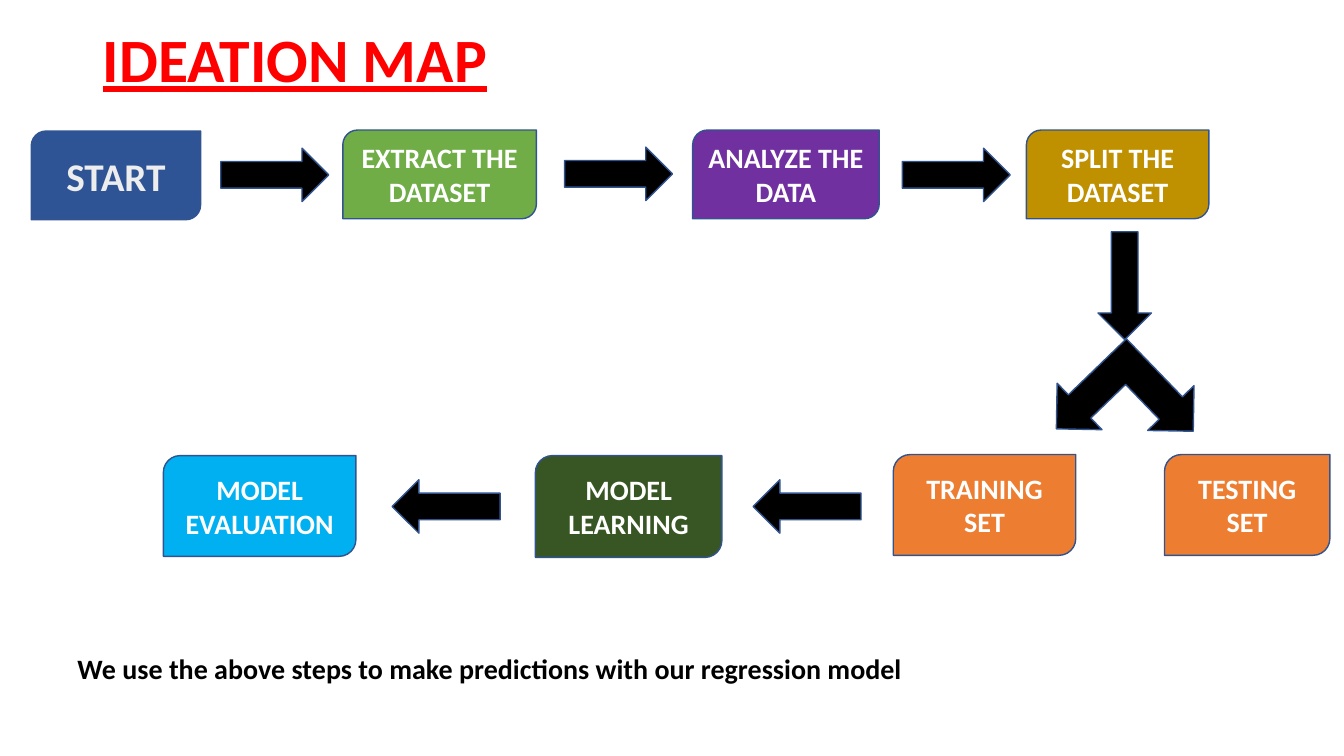
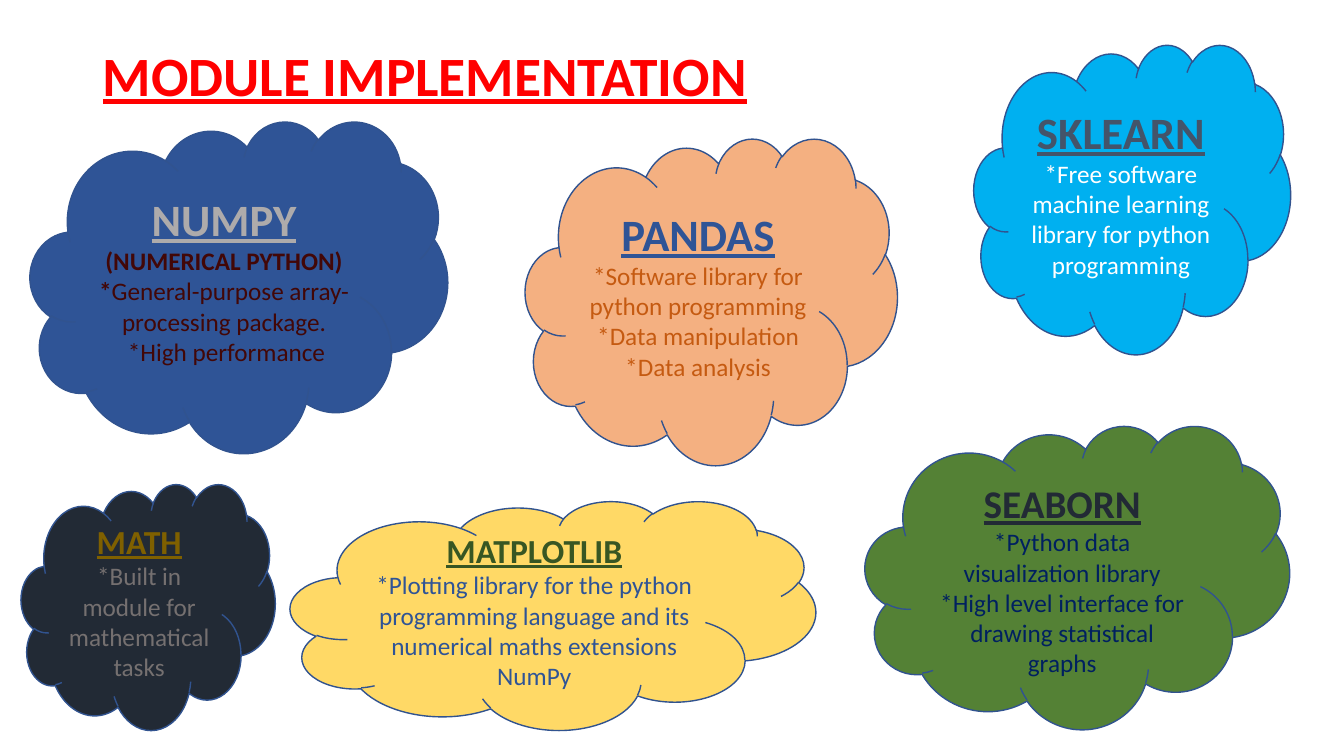
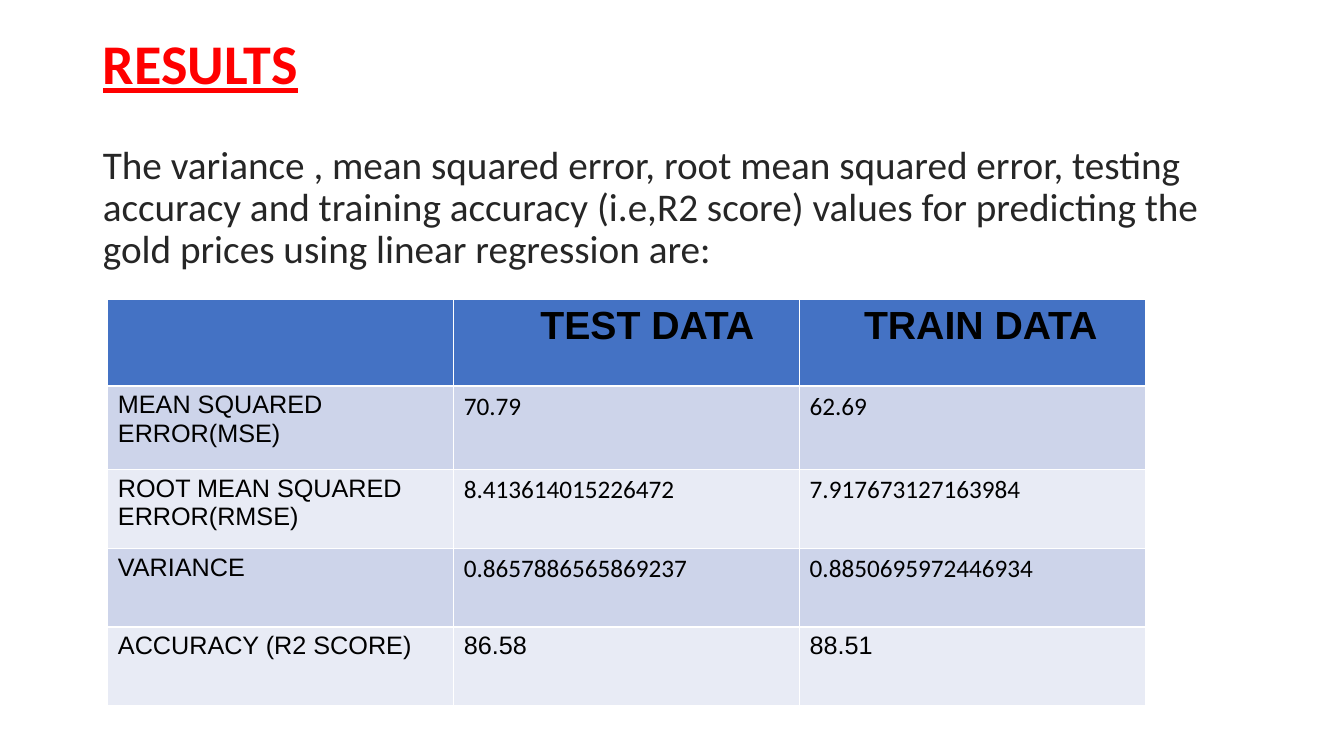
from pptx import Presentation
from pptx.dml.color import RGBColor
from pptx.enum.shapes import MSO_SHAPE
from pptx.enum.text import MSO_ANCHOR, MSO_AUTO_SIZE, PP_ALIGN
from pptx.util import Inches, Pt

STEP = MSO_SHAPE.ROUND_2_DIAG_RECTANGLE
CLOUD = MSO_SHAPE.CLOUD
RIGHT, LEFT, DOWN = MSO_SHAPE.RIGHT_ARROW, MSO_SHAPE.LEFT_ARROW, MSO_SHAPE.DOWN_ARROW
FORK = MSO_SHAPE.LEFT_UP_ARROW

BLACK, WHITE, RED = "000000", "FFFFFF", "FF0000"
NAVY, ORANGE, OUTLINE = "2F5496", "ED7D31", "31538F"
HEADER, BANDS = "4472C4", ["CDD4EA", "E8EBF5"]


def style(p, size, color, bold=False, underline=False, font="Calibri"):
    for r in p.runs:
        r.font.name = font
        r.font.size = Pt(size)
        r.font.bold = bold
        r.font.underline = underline
        r.font.color.rgb = RGBColor.from_string(color)


def add_shape(s, kind, box, fill):
    sp = s.shapes.add_shape(kind, *map(Inches, box))
    sp.shadow.inherit = False
    sp.fill.solid()
    sp.fill.fore_color.rgb = RGBColor.from_string(fill)
    sp.line.color.rgb = RGBColor.from_string(OUTLINE)
    sp.line.width = Pt(1)
    return sp


prs = Presentation()
prs.slide_width, prs.slide_height = Inches(13.33), Inches(7.5)
TITLE_AND_BODY, TITLE_ONLY = prs.slide_layouts[1], prs.slide_layouts[5]

# Slides and titles: layout, text, top, height, size
slides = []
for layout, text, top, height, size in [
    (TITLE_ONLY, "IDEATION MAP", 0.15, 0.94, 44),
    (TITLE_ONLY, "MODULE IMPLEMENTATION", 0.4, 0.75, 39.6),
    (TITLE_AND_BODY, "RESULTS", 0.21, 0.9, 40),
]:
    s = prs.slides.add_slide(layout)
    title = s.shapes.title
    title.left, title.top = Inches(0.92), Inches(top)
    title.width, title.height = Inches(11.5), Inches(height)
    tf = title.text_frame
    tf.text = text
    tf.auto_size = MSO_AUTO_SIZE.NONE
    tf.vertical_anchor = MSO_ANCHOR.MIDDLE
    p = tf.paragraphs[0]
    p.alignment = PP_ALIGN.LEFT
    p.line_spacing = 0.9
    style(p, size, RED, bold=True, underline=True)
    slides.append(s)
ideation, modules, results = slides

# Ideation map: two rows of steps joined by arrows
for text, left, top, width, height, fill, size, color in [
    ("START", 0.31, 1.3, 1.68, 0.88, NAVY, 28, "EDEDED"),
    ("EXTRACT THE DATASET", 3.4, 1.29, 1.92, 0.88, "70AD47", 20, WHITE),
    ("ANALYZE THE DATA", 6.87, 1.29, 1.85, 0.88, "7030A0", 20, WHITE),
    ("SPLIT THE DATASET", 10.18, 1.29, 1.81, 0.88, "BF9000", 20, WHITE),
    ("TESTING SET", 11.55, 4.51, 1.64, 1, ORANGE, 20, WHITE),
    ("TRAINING SET", 8.86, 4.51, 1.81, 1, ORANGE, 20, WHITE),
    ("MODEL LEARNING", 5.31, 4.52, 1.85, 1.01, "385623", 20, WHITE),
    ("MODEL EVALUATION", 1.62, 4.52, 1.91, 1, "00B0F0", 20, WHITE),
]:
    sp = add_shape(ideation, STEP, (left, top, width, height), fill)
    sp.text_frame.text = text
    p = sp.text_frame.paragraphs[0]
    p.alignment = PP_ALIGN.CENTER
    style(p, size, color, bold=True)

ARROW_LEN, ARROW_WIDTH = 1.07, 0.53
for kind, left, top in [(RIGHT, 2.19, 1.47), (RIGHT, 5.6, 1.46), (RIGHT, 8.95, 1.47),
                        (LEFT, 7.47, 4.76), (LEFT, 3.89, 4.76)]:
    add_shape(ideation, kind, (left, top, ARROW_LEN, ARROW_WIDTH), BLACK)
fork = add_shape(ideation, FORK, (10.52, 3.4, 1.28, 1.28), BLACK)
fork.rotation = 226
add_shape(ideation, DOWN, (10.89, 2.3, ARROW_WIDTH, ARROW_LEN), BLACK)

note = ideation.shapes.add_textbox(Inches(0.67), Inches(6.41), Inches(9.31), Inches(0.44))
tf = note.text_frame
tf.word_wrap = True
tf.text = "We use the above steps to make predictions with our regression model"
style(tf.paragraphs[0], 20, BLACK, bold=True)

# Modules: name, box, fill, name size and colour, text colour, lines
clouds = {}
for name, box, fill, size, name_color, color, lines in [
    ("NUMPY", (0.3, 1.2, 4.14, 3.29), NAVY, 32, "AEABAB", "420707",
     ["(NUMERICAL PYTHON)", "*General-purpose array-processing package.", "*High performance"]),
    ("SKLEARN", (9.66, 0.44, 3.14, 3.07), "00B0F0", 32, "44546A", WHITE,
     ["*Free software machine learning library for python programming"]),
    ("SEABORN", (8.58, 4.22, 4.21, 3.01), "548135", 28, "222A35", "002060",
     ["*Python data visualization library",
      "*High level interface for drawing statistical graphs"]),
    ("MATPLOTLIB", (2.88, 4.97, 5.21, 2.27), "FFD966", 24, "385623", NAVY,
     ["*Plotting library for the python programming language and its "
      "numerical maths extensions NumPy"]),
    ("PANDAS", (5.21, 1.37, 3.69, 3.24), "F4B081", 32, NAVY, "C55A11",
     ["*Software library for python programming", "*Data manipulation", "*Data analysis"]),
    ("MATH", (0.21, 4.8, 2.52, 2.44), "222A35", 24, "7F6000", "757070",
     ["*Built in module for mathematical tasks"]),
]:
    sp = add_shape(modules, CLOUD, box, fill)
    tf = sp.text_frame
    tf.text = "\n".join([name] + lines)
    for p in tf.paragraphs:
        p.alignment = PP_ALIGN.CENTER
        style(p, 18, color)
    style(tf.paragraphs[0], size, name_color, bold=True, underline=True)
    clouds[name] = tf

clouds["SEABORN"].margin_top = Inches(0.22)
_, full_name, purpose, performance = clouds["NUMPY"].paragraphs
style(full_name, 18, "420707", bold=True)
purpose.runs[0].text = "*"
purpose.add_run().text = "General-purpose array-processing package."
style(purpose, 18, "420707")
purpose.runs[0].font.bold = True
performance.alignment = PP_ALIGN.LEFT
performance._p.get_or_add_pPr().set("marL", str(Inches(0.3)))

# Results: introduction and table
body = results.placeholders[1]
body.left, body.top, body.width, body.height = map(Inches, (0.92, 1.39, 11.6, 5.36))
tf = body.text_frame
tf.text = ("The variance , mean squared error, root mean squared error, testing accuracy and "
           "training accuracy (i.e,R2 score) values for predicting the gold prices using "
           "linear regression are:")
tf.auto_size = MSO_AUTO_SIZE.NONE
p = tf.paragraphs[0]
p.line_spacing = 0.9
p.space_before = Pt(0)
pPr = p._p.get_or_add_pPr()
pPr.set("marL", "0")
pPr.set("indent", "0")
pPr.insert_element_before(pPr.makeelement(
    "{http://schemas.openxmlformats.org/drawingml/2006/main}buNone", {}), "a:tabLst", "a:defRPr")
style(p, 28, "262626")

rows = [
    ("", "TEST DATA", "TRAIN DATA"),
    ("MEAN SQUARED ERROR(MSE)", "70.79", "62.69"),
    ("ROOT MEAN SQUARED ERROR(RMSE)", "8.413614015226472", "7.917673127163984"),
    ("VARIANCE", "0.8657886565869237", "0.8850695972446934"),
    ("ACCURACY (R2 SCORE)", "86.58", "88.51"),
]
heights = [0.86, 0.83, 0.78, 0.78, 0.78]
COL_WIDTH = 3.43
table = results.shapes.add_table(len(rows), 3, Inches(1.07), Inches(2.97),
                                 Inches(3 * COL_WIDTH), Inches(sum(heights))).table
for col in table.columns:
    col.width = Inches(COL_WIDTH)
for i, (row, height) in enumerate(zip(rows, heights)):
    table.rows[i].height = Inches(height)
    for j, text in enumerate(row):
        cell = table.cell(i, j)
        cell.fill.solid()
        cell.fill.fore_color.rgb = RGBColor.from_string(BANDS[(i - 1) % 2] if i else HEADER)
        cell.text = text
        font = "Calibri" if j and 0 < i < len(rows) - 1 else "Arial"
        style(cell.text_frame.paragraphs[0], 18 if i else 28, BLACK, bold=i == 0, font=font)
table.cell(0, 1).margin_left = Inches(0.86)
table.cell(0, 2).margin_left = Inches(0.64)

prs.save("out.pptx")
